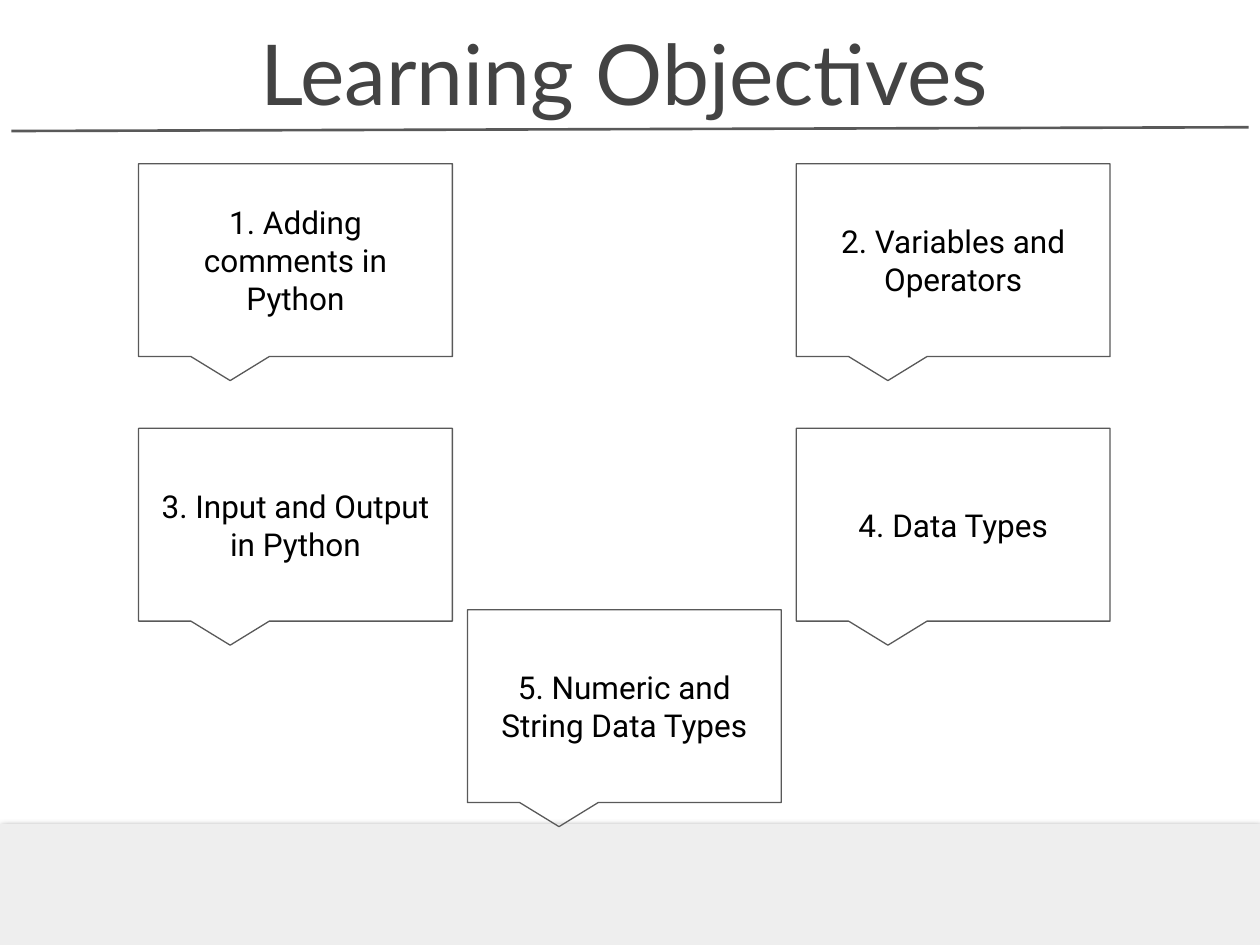
from lxml import etree
from pptx import Presentation
from pptx.dml.color import RGBColor
from pptx.enum import shapes, text
from pptx.oxml import ns
from pptx.util import Inches, Pt

WHITE = RGBColor(0xFF, 0xFF, 0xFF)
BLACK = RGBColor(0x00, 0x00, 0x00)
TITLE_GREY = RGBColor(0x43, 0x43, 0x43)
LINE_GREY = RGBColor(0x59, 0x59, 0x59)
BAND_GREY = RGBColor(0xEE, 0xEE, 0xEE)

SLIDE_W, SLIDE_H = 10, 7.5
CARD_W, CARD_H = 2.49, 1.53
LEFT, STEP = 1.1, 2.61
COLUMNS = [LEFT + i * STEP for i in range(3)]
ROWS = (1.3, 3.4, 4.84)

OBJECTIVES = [
    (0, 0, "1. Adding comments in Python"),
    (2, 0, "2. Variables and Operators"),
    (0, 1, "3. Input and Output in Python"),
    (2, 1, "4. Data Types"),
    (1, 2, "5. Numeric and String Data Types"),
]


class ObjectivesSlide:
    """Holds the slide and its shared style."""

    title_font, body_font = "Lato", "Roboto"
    title_size, body_size = Pt(48), Pt(18)

    def __init__(self, deck):
        self.slide = deck.slides.add_slide(deck.slide_layouts[5])
        self.slide.background.fill.solid()
        self.slide.background.fill.fore_color.rgb = WHITE

    def set_text(self, shape, wording, font, size, color, anchor, inset):
        frame = shape.text_frame
        frame.text = wording
        frame.word_wrap = True
        frame.auto_size = text.MSO_AUTO_SIZE.NONE
        frame.vertical_anchor = anchor
        frame.margin_left = frame.margin_right = Inches(inset)
        frame.margin_top = frame.margin_bottom = Inches(0.1)
        paragraph = frame.paragraphs[0]
        paragraph.alignment = text.PP_ALIGN.CENTER
        paragraph.font.name = font
        paragraph.font.size = size
        paragraph.font.color.rgb = color

    def title(self, wording, left, top, width, height):
        heading = self.slide.shapes.title
        heading.left, heading.top = Inches(left), Inches(top)
        heading.width, heading.height = Inches(width), Inches(height)
        self.set_text(heading, wording, self.title_font, self.title_size,
                      TITLE_GREY, text.MSO_ANCHOR.BOTTOM, 0.1)

    def rule(self, x1, y1, x2, y2):
        line = self.slide.shapes.add_connector(
            shapes.MSO_CONNECTOR.STRAIGHT,
            Inches(x1), Inches(y1), Inches(x2), Inches(y2))
        line.line.color.rgb = LINE_GREY
        line.line.width = Pt(1.5)
        etree.SubElement(line._element.spPr, ns.qn("a:effectLst"))

    def band(self, top):
        """Draw the footer band with a soft shadow along its edge."""
        footer = self.slide.shapes.add_shape(
            shapes.MSO_SHAPE.RECTANGLE, 0, Inches(top),
            Inches(SLIDE_W), Inches(SLIDE_H - top))
        footer.fill.solid()
        footer.fill.fore_color.rgb = BAND_GREY
        footer.line.fill.background()
        footer.shadow.inherit = False
        effects = footer._element.spPr.find(ns.qn("a:effectLst"))
        shadow = etree.SubElement(
            effects, ns.qn("a:outerShdw"), blurRad=str(Pt(4.5)),
            dist=str(Pt(1.5)), dir="5400000", algn="t", rotWithShape="0")
        color = etree.SubElement(shadow, ns.qn("a:srgbClr"), val=str(BLACK))
        etree.SubElement(color, ns.qn("a:alpha"), val="50000")

    def callout(self, wording, left, top):
        card = self.slide.shapes.add_shape(
            shapes.MSO_SHAPE.ROUNDED_RECTANGULAR_CALLOUT,
            Inches(left), Inches(top), Inches(CARD_W), Inches(CARD_H))
        for index, value in enumerate((-0.208, 0.625, 0)):
            card.adjustments[index] = value
        card.fill.background()
        card.line.color.rgb = LINE_GREY
        card.line.width = Pt(0.75)
        card.shadow.inherit = False
        self.set_text(card, wording, self.body_font, self.body_size,
                      BLACK, text.MSO_ANCHOR.MIDDLE, 0.12)


def main():
    deck = Presentation()
    deck.slide_width, deck.slide_height = Inches(SLIDE_W), Inches(SLIDE_H)
    page = ObjectivesSlide(deck)
    page.rule(0.09, 1.04, 9.91, 1.01)
    page.band(6.54)
    page.title("Learning Objectives", 1.3, 0.19, 7.31, 0.88)
    for column, row, wording in OBJECTIVES:
        page.callout(wording, COLUMNS[column], ROWS[row])
    deck.save("out.pptx")


if __name__ == "__main__":
    main()
